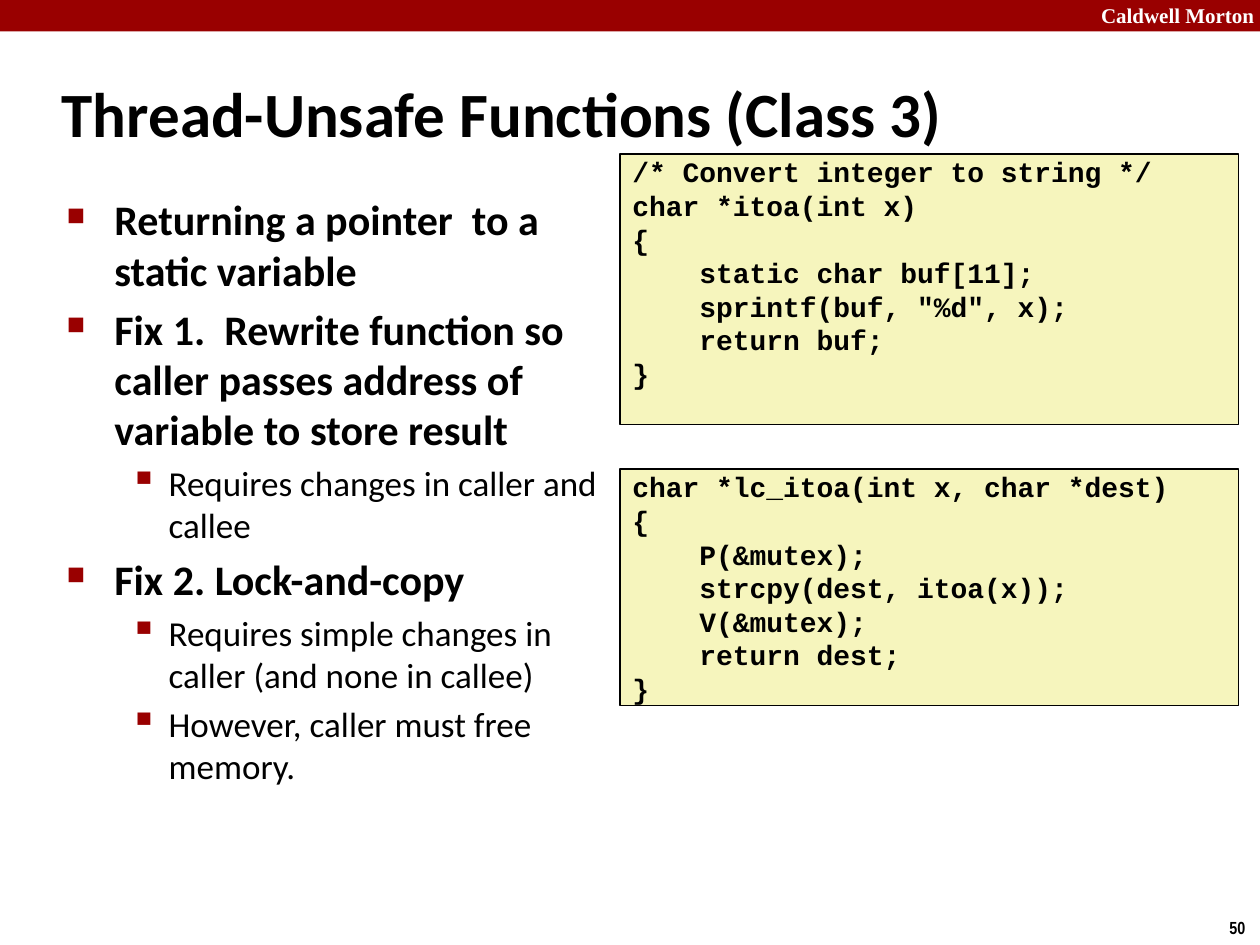
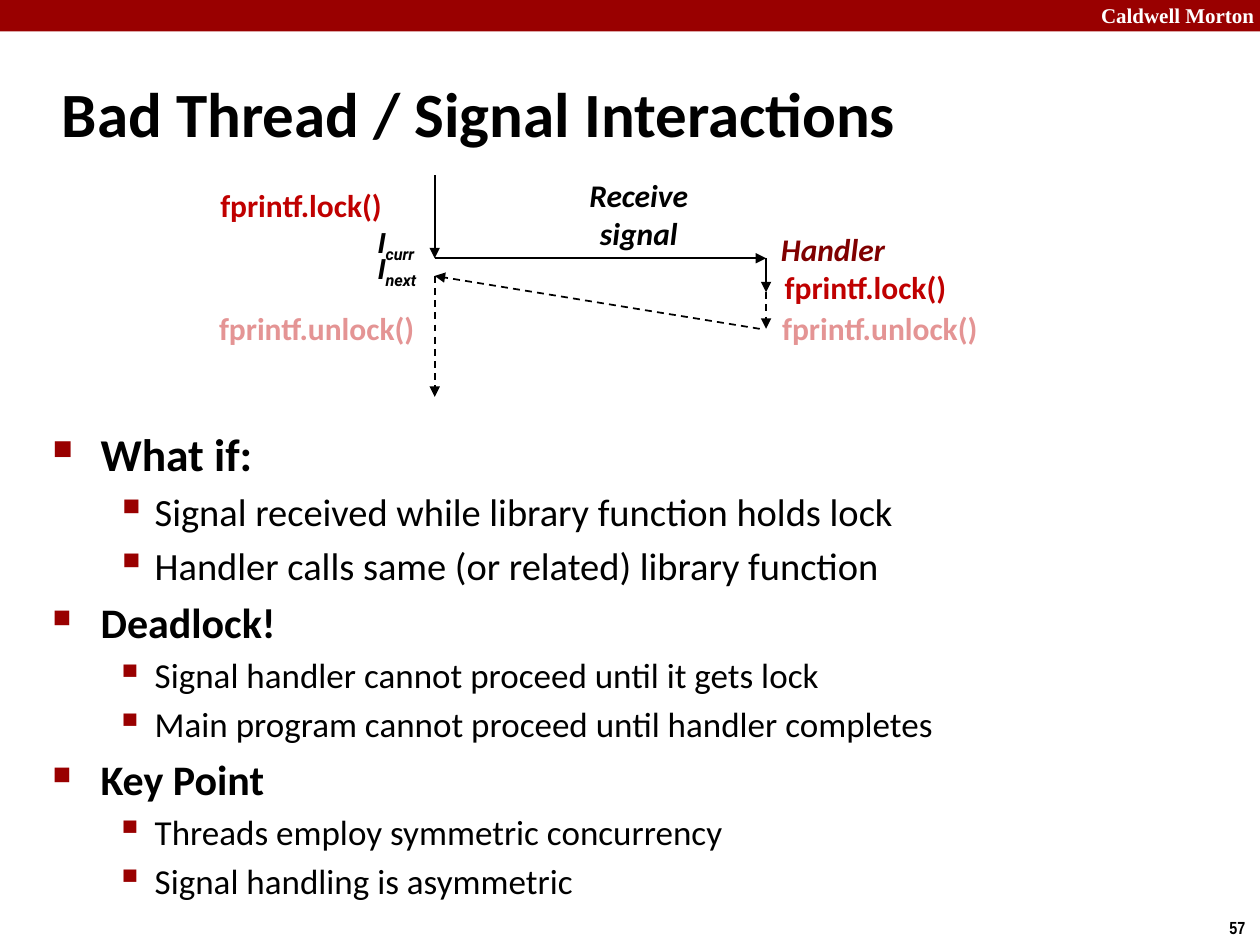
from dataclasses import dataclass

from lxml.etree import SubElement
from pptx import Presentation
from pptx.dml.color import RGBColor
from pptx.enum.dml import MSO_LINE
from pptx.enum.shapes import MSO_CONNECTOR, MSO_SHAPE
from pptx.enum.text import MSO_ANCHOR, MSO_AUTO_SIZE as AutoSize, PP_ALIGN
from pptx.oxml.ns import qn
from pptx.slide import Slide
from pptx.text.text import TextFrame
from pptx.util import Inches, Pt

BLACK = RGBColor(0x00, 0x00, 0x00)
WHITE = RGBColor(0xFF, 0xFF, 0xFF)
CRIMSON = RGBColor(0x99, 0x00, 0x00)
MAROON = RGBColor(0x80, 0x00, 0x00)
LOCK_RED = RGBColor(0xC0, 0x00, 0x00)
UNLOCK_PINK = RGBColor(0xE4, 0x94, 0x94)
CODE_CREAM = RGBColor(0xF6, 0xF5, 0xBD)

BODY_FONT = "Calibri"
CODE_FONT = "Courier New"
SCHOOL = "Caldwell Morton"


@dataclass(frozen=True)
class Box:
    """A rectangle in inches."""
    left: float
    top: float
    width: float
    height: float

    def lengths(self) -> tuple:
        """Return the four sides as lengths."""
        return tuple(map(Inches, (self.left, self.top, self.width, self.height)))


@dataclass(frozen=True)
class Bullet:
    """One outline line with its level and text size."""
    text: str
    level: int = 0
    size: int = 24


@dataclass(frozen=True)
class BulletStyle:
    """Indents and marker of one outline level."""
    margin: float
    hanging: float
    marker: str
    percent: int


@dataclass(frozen=True)
class Label:
    """A short diagram text, with an optional subscript."""
    text: str
    box: Box
    color: RGBColor = BLACK
    italic: bool = False
    subscript: str = ""
    size: int = 18
    font: str = BODY_FONT


@dataclass(frozen=True)
class Arrow:
    """A straight arrow from start to end, in inches."""
    start: tuple[float, float]
    end: tuple[float, float]
    dashed: bool = False


BULLET_STYLES = (BulletStyle(0.38, 0.38, "■", 60), BulletStyle(0.81, 0.31, "▪", 110))

ITOA_CODE = """/* Convert integer to string */
char *itoa(int x)
{
    static char buf[11];
    sprintf(buf, "%d", x);
    return buf;
}"""

LOCK_AND_COPY_CODE = """char *lc_itoa(int x, char *dest)
{
    P(&mutex);
    strcpy(dest, itoa(x));
    V(&mutex);
    return dest;
}"""

CLASS_3_BULLETS = (
    Bullet("Returning a pointer  to a static variable"),
    Bullet("Fix 1.  Rewrite function so caller passes address of variable to store result"),
    Bullet("Requires changes in caller and callee", 1, 20),
    Bullet("Fix 2. Lock-and-copy"),
    Bullet("Requires simple changes in caller (and none in callee)", 1, 20),
    Bullet("However, caller must free memory.", 1, 20),
)

SIGNAL_BULLETS = (
    Bullet("What if:", size=26),
    Bullet("Signal received while library function holds lock", 1, 22),
    Bullet("Handler calls same (or related) library function", 1, 22),
    Bullet("Deadlock!"),
    Bullet("Signal handler cannot proceed until it gets lock", 1, 20),
    Bullet("Main program cannot proceed until handler completes", 1, 20),
    Bullet("Key Point"),
    Bullet("Threads employ symmetric concurrency", 1, 20),
    Bullet("Signal handling is asymmetric", 1, 20),
)

MAIN_X, HANDLER_X = 3.45, 6.08
SIGNAL_Y, LOCK_Y, RETURN_Y, RESUME_Y = 2.05, 2.32, 2.61, 2.19

SIGNAL_ARROWS = (
    Arrow((MAIN_X, 1.39), (MAIN_X, SIGNAL_Y)),
    Arrow((MAIN_X, SIGNAL_Y), (HANDLER_X, SIGNAL_Y)),
    Arrow((HANDLER_X, SIGNAL_Y), (HANDLER_X, LOCK_Y)),
    Arrow((HANDLER_X, LOCK_Y), (HANDLER_X, RETURN_Y), dashed=True),
    Arrow((6.03, RETURN_Y), (MAIN_X, RESUME_Y), dashed=True),
    Arrow((MAIN_X, RESUME_Y), (MAIN_X, 3.15), dashed=True),
)

SIGNAL_LABELS = (
    Label("I", Box(2.9, 1.74, 0.6, 0.37), italic=True, subscript="curr", size=16, font="Roboto"),
    Label("I", Box(2.9, 1.95, 0.61, 0.37), italic=True, subscript="next", size=16, font="Roboto"),
    Label("Handler", Box(6.1, 1.78, 1.04, 0.4), MAROON, italic=True),
    Label("Receive\nsignal", Box(4.54, 1.35, 1.06, 0.71), italic=True),
    Label("fprintf.lock()", Box(1.65, 1.43, 1.54, 0.4), LOCK_RED),
    Label("fprintf.unlock()", Box(1.64, 2.4, 1.77, 0.4), UNLOCK_PINK),
    Label("fprintf.lock()", Box(6.13, 2.08, 1.54, 0.4), LOCK_RED),
    Label("fprintf.unlock()", Box(6.11, 2.4, 1.77, 0.4), UNLOCK_PINK),
)


def add_run(paragraph, text: str, *, size: int, font: str = BODY_FONT,
            color: RGBColor = BLACK, bold: bool = True, italic: bool = False):
    """Append a formatted run to a paragraph."""
    run = paragraph.add_run()
    run.text = text
    run.font.name, run.font.size = font, Pt(size)
    run.font.bold, run.font.italic = bold, italic
    run.font.color.rgb = color
    return run


def write_lines(frame: TextFrame, text: str, *, align=PP_ALIGN.LEFT, **text_format) -> None:
    """Fill an empty frame with one paragraph per line of text."""
    for index, line in enumerate(text.split("\n")):
        paragraph = frame.add_paragraph() if index else frame.paragraphs[0]
        paragraph.alignment = align
        add_run(paragraph, line, **text_format)


def add_text(slide: Slide, box: Box, text: str, *, wrap: bool = False, **text_format) -> TextFrame:
    """Add a text box and return its frame."""
    frame = slide.shapes.add_textbox(*box.lengths()).text_frame
    frame.word_wrap = wrap
    write_lines(frame, text, **text_format)
    return frame


def add_rectangle(slide: Slide, box: Box, fill: RGBColor):
    """Add a flat filled rectangle without an outline."""
    shape = slide.shapes.add_shape(MSO_SHAPE.RECTANGLE, *box.lengths())
    shape.shadow.inherit = False
    shape.fill.solid()
    shape.fill.fore_color.rgb = fill
    shape.line.fill.background()
    return shape


def set_indent(paragraph, margin: float, hanging: float):
    """Set a hanging indent and return the paragraph properties."""
    properties = paragraph._p.get_or_add_pPr()
    properties.set("marL", str(Inches(margin)))
    properties.set("indent", str(-Inches(hanging)))
    return properties


def add_bullets(slide: Slide, box: Box, bullets: tuple[Bullet, ...]) -> None:
    """Add the two-level outline."""
    frame = slide.shapes.add_textbox(*box.lengths()).text_frame
    frame.word_wrap = True
    for index, bullet in enumerate(bullets):
        style = BULLET_STYLES[bullet.level]
        paragraph = frame.add_paragraph() if index else frame.paragraphs[0]
        paragraph.level = bullet.level
        properties = set_indent(paragraph, style.margin, style.hanging)
        spacing = SubElement(properties, qn("a:spcBef"))
        SubElement(spacing, qn("a:spcPct"), val="20000")
        marker_color = SubElement(properties, qn("a:buClr"))
        SubElement(marker_color, qn("a:srgbClr"), val=str(CRIMSON))
        SubElement(properties, qn("a:buSzPct"), val=str(style.percent * 1000))
        SubElement(properties, qn("a:buChar"), char=style.marker)
        add_run(paragraph, bullet.text, size=bullet.size, bold=bullet.level == 0)


def add_code(slide: Slide, box: Box, code: str) -> None:
    """Add an outlined code listing."""
    shape = add_rectangle(slide, box, CODE_CREAM)
    shape.line.color.rgb = BLACK
    shape.line.width = Pt(1)
    frame = shape.text_frame
    frame.word_wrap = True
    frame.vertical_anchor = MSO_ANCHOR.TOP
    frame.margin_top, frame.margin_bottom = Inches(0.01), 0
    write_lines(frame, code, size=16, font=CODE_FONT)


def add_label(slide: Slide, label: Label) -> None:
    """Add a diagram label."""
    text_format = dict(size=label.size, font=label.font, color=label.color, italic=label.italic)
    align = PP_ALIGN.CENTER if "\n" in label.text else PP_ALIGN.LEFT
    frame = add_text(slide, label.box, label.text, align=align, **text_format)
    if label.subscript:
        run = add_run(frame.paragraphs[0], label.subscript, **text_format)
        run.font._element.set("baseline", "-25000")


def add_arrow(slide: Slide, arrow: Arrow) -> None:
    """Add a black arrow."""
    ends = map(Inches, (*arrow.start, *arrow.end))
    connector = slide.shapes.add_connector(MSO_CONNECTOR.STRAIGHT, *ends)
    line = connector.line
    line.color.rgb, line.width = BLACK, Pt(1)
    if arrow.dashed:
        line.dash_style = MSO_LINE.DASH
    SubElement(line._get_or_add_ln(), qn("a:tailEnd"), type="triangle")
    SubElement(connector._element.spPr, qn("a:effectLst"))


def add_titled_slide(presentation, title: str, number: int) -> Slide:
    """Add a slide with the shared band, page number and title."""
    slide = presentation.slides.add_slide(presentation.slide_layouts[5])
    add_rectangle(slide, Box(0, 0, 10, 0.25), CRIMSON)
    add_text(slide, Box(8.64, -0.03, 1.43, 0.3), SCHOOL, wrap=True,
             size=12, font="Times New Roman", color=WHITE)
    add_text(slide, Box(9.66, 7.23, 0.34, 0.27), str(number), size=10, font="Arial Narrow")
    shape = slide.shapes.title
    shape.left, shape.top, shape.width, shape.height = Box(0.39, 0.48, 8.3, 0.83).lengths()
    frame = shape.text_frame
    frame.auto_size = AutoSize.NONE
    frame.vertical_anchor = MSO_ANCHOR.MIDDLE
    write_lines(frame, title, size=36)
    set_indent(frame.paragraphs[0], 0.13, 0.13)
    return slide


def build_class_3_slide(presentation) -> None:
    """Build the slide on functions that return static pointers."""
    slide = add_titled_slide(presentation, "Thread-Unsafe Functions (Class 3)", 50)
    add_bullets(slide, Box(0.43, 1.49, 4.65, 5.09), CLASS_3_BULLETS)
    add_code(slide, Box(4.92, 3.72, 4.91, 1.88), LOCK_AND_COPY_CODE)
    add_code(slide, Box(4.92, 1.22, 4.91, 2.15), ITOA_CODE)


def build_signal_slide(presentation) -> None:
    """Build the slide on signal handlers and locks."""
    slide = add_titled_slide(presentation, "Bad Thread / Signal Interactions", 57)
    add_bullets(slide, Box(0.32, 3.33, 9.43, 3.44), SIGNAL_BULLETS)
    for arrow in SIGNAL_ARROWS:
        add_arrow(slide, arrow)
    for label in SIGNAL_LABELS:
        add_label(slide, label)


def main() -> None:
    """Build and save the presentation."""
    presentation = Presentation()
    presentation.slide_width, presentation.slide_height = Inches(10), Inches(7.5)
    build_class_3_slide(presentation)
    build_signal_slide(presentation)
    presentation.save("out.pptx")


if __name__ == "__main__":
    main()
